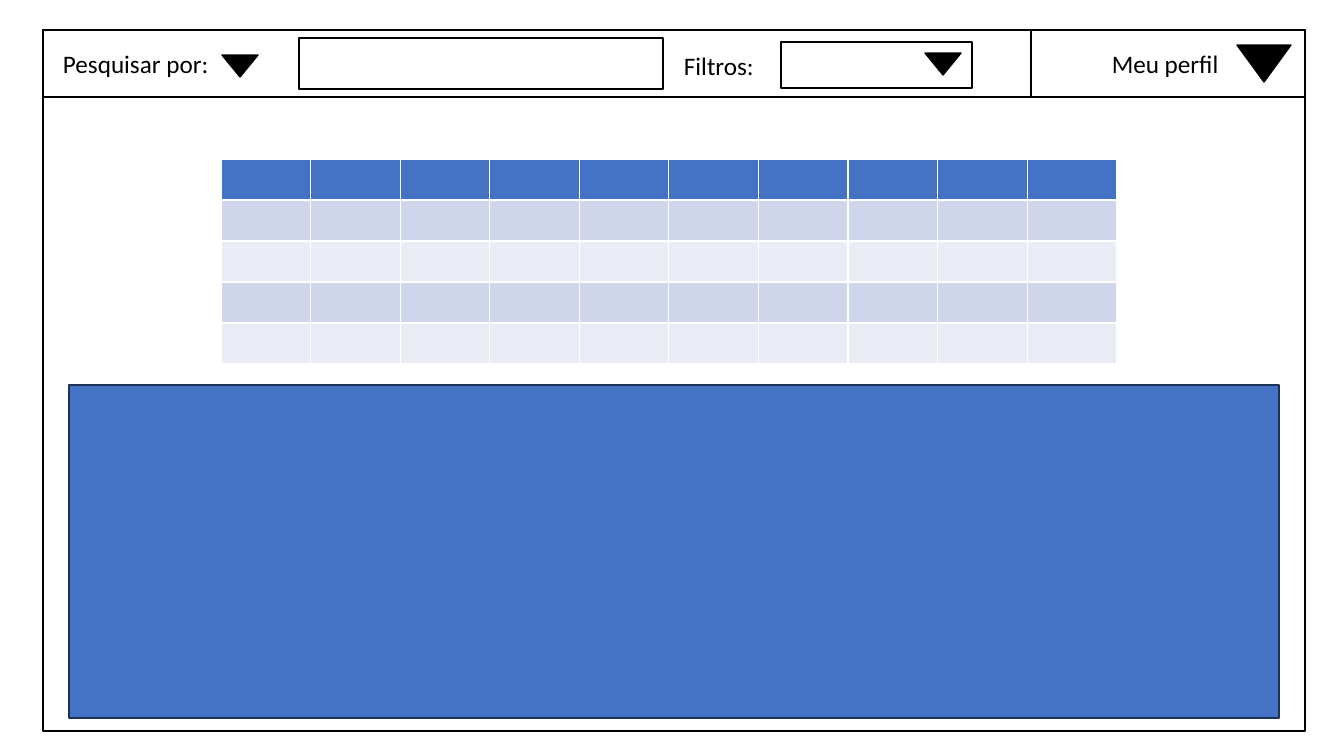
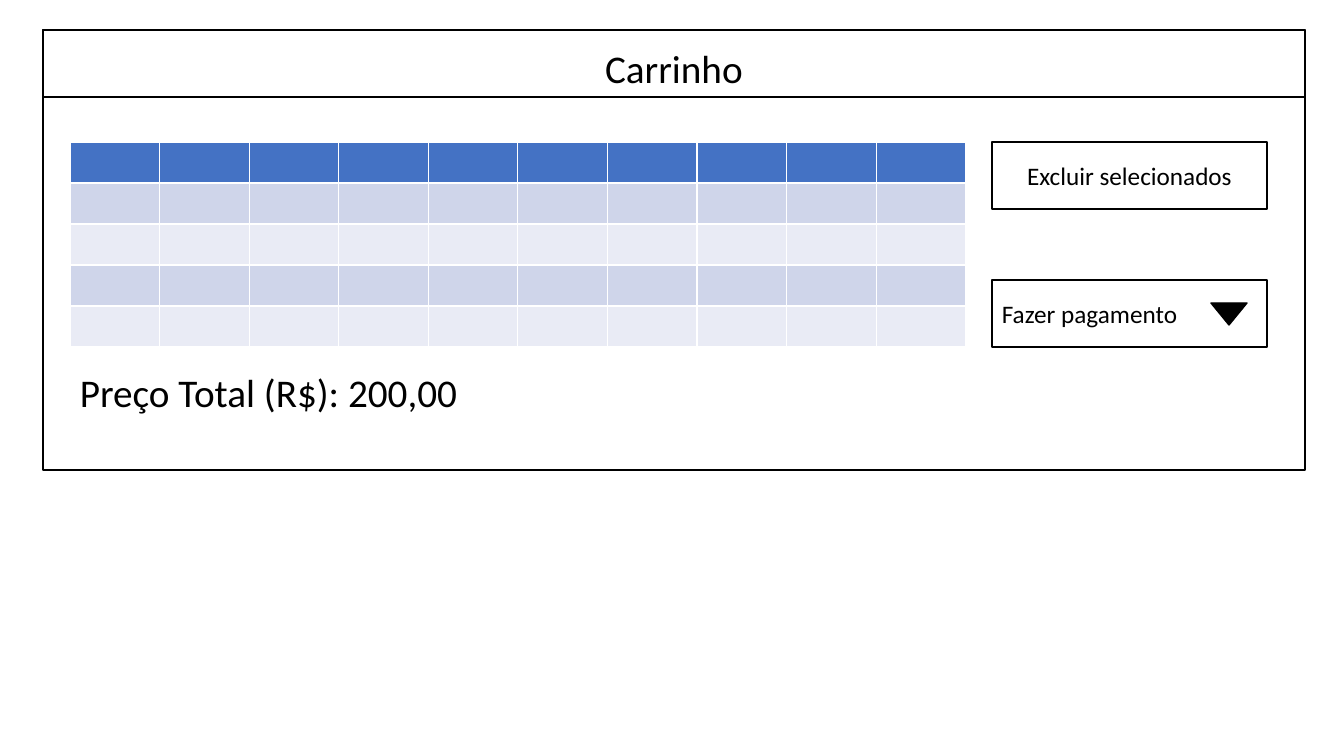
import pptx
import pptx.util
import pptx.dml.color
import pptx.enum.shapes
import pptx.enum.text

SHAPE = pptx.enum.shapes.MSO_SHAPE
ALIGN = pptx.enum.text.PP_ALIGN
ANCHOR = pptx.enum.text.MSO_ANCHOR
FIT = pptx.enum.text.MSO_AUTO_SIZE

FONT, BODY, LARGE = "Calibri", 18, 28
BLACK, WHITE, BLUE, NAVY = "000000", "FFFFFF", "4472C4", "1E3256"
BANDS = ["CFD5EA", "E9EBF5"]
ROWS, COLS = 5, 10
GRID = (896, 205)
LEFT, TOP, WIDTH, BAR = 43, 30, 1262, 67
SMALL, BIG = (36, 22), (54, 37)

# Each box: area, text, alignment
SEARCH = {
    "height": 701,
    "boxes": [
        ((1031, TOP, 274, BAR), "Meu perfil ", ALIGN.CENTER),
        ((299, 38, 364, 51), "", ALIGN.LEFT),
        ((781, 42, 191, 46), "", ALIGN.LEFT),
    ],
    "labels": [
        ((53, 43, 167, 40), "Pesquisar por:", BODY),
        ((674, 45, 91, 40), "Filtros:", BODY),
    ],
    "arrows": [((1237, 45), BIG), ((925, 53), SMALL), ((222, 55), SMALL)],
    "grid": (221, 159),
}
CART = {
    "height": 440,
    "boxes": [
        ((992, 142, 275, BAR), "Excluir selecionados", ALIGN.CENTER),
        ((992, 280, 275, BAR), "Fazer pagamento", ALIGN.LEFT),
    ],
    "labels": [((70, 363, 402, 57), "Preço Total (R$): 200,00", LARGE)],
    "arrows": [((1211, 303), SMALL)],
    "grid": (70, 142),
}
TITLE = ((595, 39, 159, 57), "Carrinho")
PANEL = (69, 385, 1210, 333)


def px(*sizes):
    """Turn picture pixels into EMU."""
    return [pptx.util.Emu(round(size * 914400 / 100.8)) for size in sizes]


def tint(code):
    """Make a colour from a hex string."""
    return pptx.dml.color.RGBColor.from_string(code)


def write(frame, text, size, align=ALIGN.LEFT):
    """Put one black run into a text frame."""
    line = frame.paragraphs[0]
    line.alignment = align
    run = line.add_run()
    run.text = text
    run.font.name = FONT
    run.font.size = pptx.util.Pt(size)
    run.font.color.rgb = tint(BLACK)


def draw(slide, area, fill=WHITE, edge=BLACK, kind=SHAPE.RECTANGLE):
    """Add a flat shape with a thin edge."""
    shape = slide.shapes.add_shape(kind, *px(*area))
    shape.shadow.inherit = False
    shape.fill.solid()
    shape.fill.fore_color.rgb = tint(fill)
    shape.line.color.rgb = tint(edge)
    shape.line.width = pptx.util.Pt(1)
    return shape


def label(slide, area, text, size):
    """Add a text box that does not wrap."""
    frame = slide.shapes.add_textbox(*px(*area)).text_frame
    frame.word_wrap = False
    frame.auto_size = FIT.SHAPE_TO_FIT_TEXT
    write(frame, text, size)


def grid(slide, spot):
    """Add the empty table with a blue head and two bands."""
    table = slide.shapes.add_table(ROWS, COLS, *px(*spot, *GRID)).table
    for row in range(ROWS):
        for col in range(COLS):
            fill = table.cell(row, col).fill
            fill.solid()
            fill.fore_color.rgb = tint(BANDS[(row - 1) % 2] if row else BLUE)


def page(deck, layout, plan):
    """Build a framed screen from its plan."""
    slide = deck.slides.add_slide(deck.slide_layouts[layout])
    for high in (plan["height"], BAR):
        draw(slide, (LEFT, TOP, WIDTH, high))
    for area, text, align in plan["boxes"]:
        box = draw(slide, area)
        if text:
            box.text_frame.vertical_anchor = ANCHOR.MIDDLE
            write(box.text_frame, text, BODY, align)
    for item in plan["labels"]:
        label(slide, *item)
    for spot, size in plan["arrows"]:
        arrow = draw(slide, spot + size, BLACK, kind=SHAPE.ISOSCELES_TRIANGLE)
        arrow.rotation = 180
    grid(slide, plan["grid"])
    return slide


def head(slide, area, text):
    """Place the title in front of the top bar."""
    title = slide.shapes.title
    title.left, title.top, title.width, title.height = px(*area)
    frame = title.text_frame
    frame.word_wrap = False
    frame.auto_size = FIT.NONE
    frame.vertical_anchor = ANCHOR.TOP
    write(frame, text, LARGE)
    slide.shapes._spTree.append(title._element)


deck = pptx.Presentation()
deck.slide_width, deck.slide_height = px(1344, 756)
search = page(deck, 6, SEARCH)
draw(search, PANEL, BLUE, NAVY)
cart = page(deck, 5, CART)
head(cart, *TITLE)
deck.save("out.pptx")
